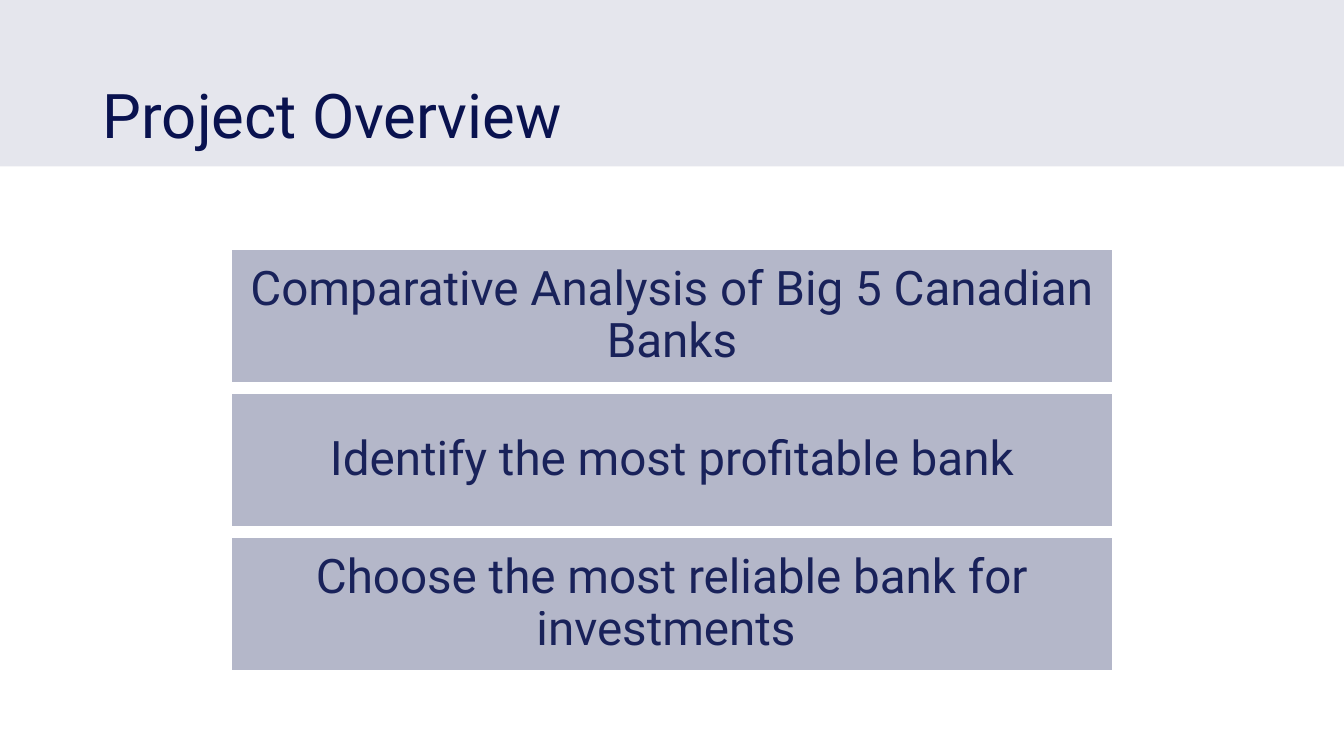
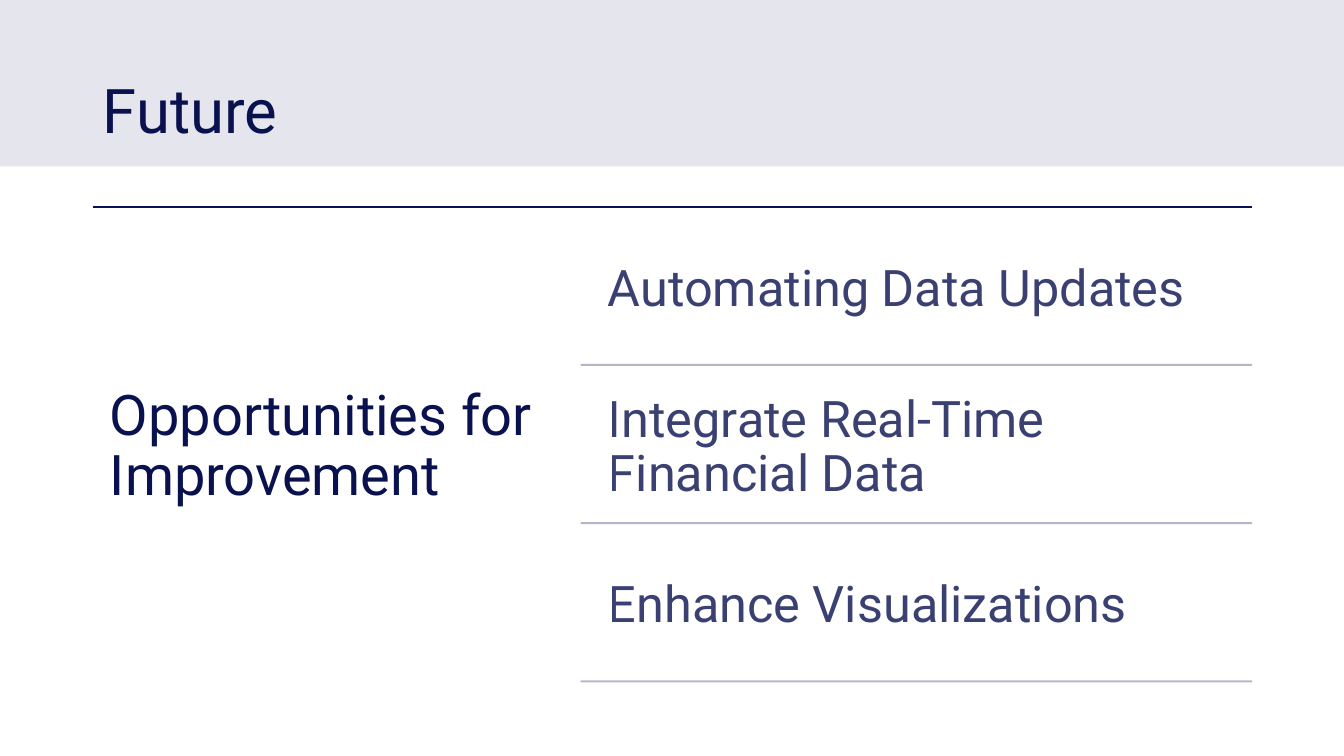
from lxml.etree import SubElement
from pptx import Presentation
from pptx.dml.color import RGBColor
from pptx.enum.shapes import MSO_CONNECTOR as Connector, MSO_SHAPE as Shape
from pptx.enum.text import MSO_ANCHOR as Anchor, MSO_AUTO_SIZE as AutoSize, PP_ALIGN as Align
from pptx.oxml.ns import qn
from pptx.util import Inches, Pt

OVERVIEW = {
    "title": "Project Overview",
    "goals": [
        "Comparative Analysis of Big 5 Canadian Banks",
        "Identify the most profitable bank",
        "Choose the most reliable bank for investments ",
    ],
}
FUTURE = {
    "title": "Future",
    "heading": "Opportunities for Improvement",
    "items": [
        "Automating Data Updates",
        "Integrate Real-Time Financial Data",
        "Enhance Visualizations",
    ],
}

COLORS = {"navy": "09124F", "white": "FFFFFF"}
FONT = "Roboto"
SLIDE_WIDTH, SLIDE_HEIGHT = 13.33, 7.5
MARGIN = 0.92
CONTENT_WIDTH = 11.5
BAND_HEIGHT = 0.22 * SLIDE_HEIGHT
LINE_WIDTH = 1.5


def color(name):
    return RGBColor.from_string(COLORS[name])


def set_opacity(element, percent):
    """Make every colour inside the element partly transparent."""
    for node in element.iter(qn("a:srgbClr")):
        SubElement(node, qn("a:alpha")).set("val", str(percent * 1000))


def write(shape, text, size, opacity=100, align=Align.LEFT, spacing=0.9, inset=None):
    frame = shape.text_frame
    settings = {"word_wrap": True, "auto_size": AutoSize.NONE,
                "vertical_anchor": Anchor.MIDDLE}
    if inset is not None:
        for side in ("left", "top", "right", "bottom"):
            settings[f"margin_{side}"] = Inches(inset)
    for name, value in settings.items():
        setattr(frame, name, value)
    paragraph = frame.paragraphs[0]
    paragraph.alignment = align
    paragraph.line_spacing = spacing
    run = paragraph.add_run()
    run.text = text
    for name, value in {"name": FONT, "size": Pt(size)}.items():
        setattr(run.font, name, value)
    run.font.color.rgb = color("navy")
    if opacity < 100:
        set_opacity(run._r, opacity)


def add_block(slide, kind, box, opacity):
    shape = slide.shapes.add_shape(kind, *map(Inches, box))
    shape.shadow.inherit = False
    shape.fill.solid()
    shape.fill.fore_color.rgb = color("navy")
    set_opacity(shape._element.spPr, opacity)
    shape.line.fill.background()
    return shape


def add_text(slide, box, text, size, **options):
    write(slide.shapes.add_textbox(*map(Inches, box)), text, size, **options)


def add_rule(slide, left, right, top, opacity=100):
    rule = slide.shapes.add_connector(
        Connector.STRAIGHT, *map(Inches, (left, top, right, top)))
    rule.line.color.rgb = color("navy")
    rule.line.width = Pt(LINE_WIDTH)
    properties = rule._element.spPr
    if opacity < 100:
        set_opacity(properties, opacity)
    SubElement(properties, qn("a:effectLst"))


def add_titled_slide(presentation, text, spacing):
    slide = presentation.slides.add_slide(presentation.slide_layouts[5])
    band = add_block(slide, Shape.RECTANGLE, (0, 0, SLIDE_WIDTH, BAND_HEIGHT), 10)
    title = slide.shapes.title
    title._element.addprevious(band._element)
    box = {"left": MARGIN, "top": 0.4, "width": CONTENT_WIDTH, "height": 1.45}
    for name, value in box.items():
        setattr(title, name, Inches(value))
    write(title, text, 44, spacing=spacing)
    return slide


def build_overview(presentation):
    slide = add_titled_slide(presentation, OVERVIEW["title"], spacing=1.0)
    width, height, gap, top = 8.74, 1.33, 0.1, 2.47
    left = (SLIDE_WIDTH - width) / 2
    for row, goal in enumerate(OVERVIEW["goals"]):
        box = (left, top + row * (height + gap), width, height)
        block = add_block(slide, Shape.FLOWCHART_PROCESS, box, 30)
        block.line.color.rgb = color("white")
        block.line.width = Pt(LINE_WIDTH)
        write(block, goal, 34, opacity=90, align=Align.CENTER, inset=0.14)


def build_future(presentation):
    slide = add_titled_slide(presentation, FUTURE["title"], spacing=0.9)
    top, row_height, pad = 2.05, 1.57, 0.08
    column, right = 5.76, MARGIN + CONTENT_WIDTH
    add_rule(slide, MARGIN, right, top)
    add_text(slide, (MARGIN, top, column - MARGIN, 4.78),
             FUTURE["heading"], 40, inset=0.17)
    text_left = column + 0.12
    for row, item in enumerate(FUTURE["items"]):
        row_top = top + row * row_height
        box = (text_left, row_top + pad, right - text_left, row_height - pad)
        add_text(slide, box, item, 36, opacity=80, inset=0.15)
        add_rule(slide, column, right, row_top + row_height, opacity=30)


def main():
    presentation = Presentation()
    presentation.slide_width = Inches(SLIDE_WIDTH)
    presentation.slide_height = Inches(SLIDE_HEIGHT)
    build_overview(presentation)
    build_future(presentation)
    presentation.save("out.pptx")


if __name__ == "__main__":
    main()
